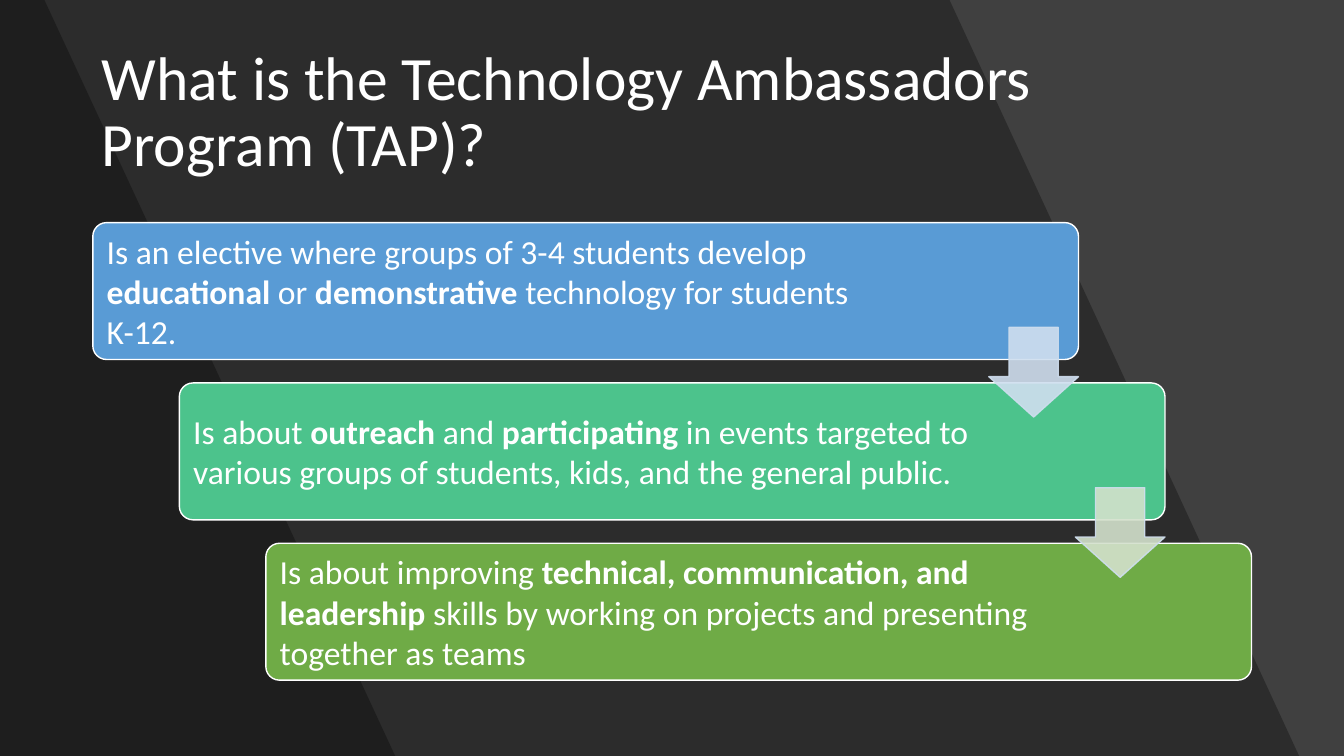
from dataclasses import dataclass

from pptx import Presentation
from pptx.dml.color import RGBColor
from pptx.enum.shapes import MSO_SHAPE
from pptx.enum.text import MSO_ANCHOR, MSO_AUTO_SIZE, PP_ALIGN
from pptx.oxml.ns import qn
from pptx.shapes.autoshape import Shape
from pptx.slide import Slide
from pptx.text.text import TextFrame
from pptx.util import Cm, Pt
from lxml import etree

ROUND_RECT = MSO_SHAPE.ROUNDED_RECTANGLE
DOWN_ARROW = MSO_SHAPE.DOWN_ARROW
MIDDLE = MSO_ANCHOR.MIDDLE
NO_FIT = MSO_AUTO_SIZE.NONE
LEFT = PP_ALIGN.LEFT

TITLE_ONLY = 5
SLIDE_W, SLIDE_H = 33.87, 19.05

# Staircase geometry in cm
STEP_X, STEP_Y, STEP_W, STEP_H = 2.34, 5.61, 24.84, 3.45
SHIFT_X, SHIFT_Y = 2.18, 4.04
TEXT_PAD = 0.1
ARROW_X, ARROW_Y, ARROW_SIZE = 24.92, 8.25, 2.26


@dataclass(frozen=True)
class Theme:
    font: str = "Calibri"
    title_size: float = 44
    body_size: float = 24
    line_width: float = 1
    background: str = "404040"
    band: str = "000000"
    text: str = "FFFFFF"
    arrow_line: str = "CFDEEF"
    band_alpha: int = 30
    arrow_alpha: int = 90


@dataclass(frozen=True)
class Band:
    top_right: float
    bottom_right: float


@dataclass(frozen=True)
class Step:
    color: str
    text_width: float
    runs: tuple[tuple[str, bool], ...]


THEME = Theme()
BANDS = (Band(23.93, 32.74), Band(1.12, 9.96))
STEPS = (
    Step("599BD5", 21.08, (
        ("Is an elective where groups of 3-4 students develop ", False),
        ("educational", True),
        (" or ", False),
        ("demonstrative", True),
        (" technology for students K-12.", False),
    )),
    Step("4CC38C", 20.19, (
        ("Is about ", False),
        ("outreach", True),
        (" and ", False),
        ("participating", True),
        (" in events targeted to various groups of students, kids, "
         "and the general public.", False),
    )),
    Step("6FAB46", 20.19, (
        ("Is about improving ", False),
        ("technical, communication, and leadership ", True),
        ("skills by working on projects and presenting together as teams", False),
    )),
)
ARROW_COLORS = ("CFDEEF", "D3E1CC")


def set_alpha(sp: Shape, percent: int) -> None:
    """Make the shape's fill and line colours partly transparent."""
    for color in sp.element.spPr.iter(qn("a:srgbClr")):
        etree.SubElement(color, qn("a:alpha")).set("val", str(percent * 1000))


def paint(sp: Shape, fill: str, line: str | None = None) -> None:
    sp.shadow.inherit = False
    sp.fill.solid()
    sp.fill.fore_color.rgb = RGBColor.from_string(fill)
    if line is None:
        sp.line.fill.background()
    else:
        sp.line.color.rgb = RGBColor.from_string(line)
        sp.line.width = Pt(THEME.line_width)


def write(tf: TextFrame, runs: tuple[tuple[str, bool], ...], size: float,
          margin_y: float) -> None:
    frame_format = {
        "word_wrap": True, "auto_size": NO_FIT, "vertical_anchor": MIDDLE,
        "margin_left": Cm(0.25), "margin_right": Cm(0.25),
        "margin_top": Cm(margin_y), "margin_bottom": Cm(margin_y),
    }
    for name, value in frame_format.items():
        setattr(tf, name, value)
    p = tf.paragraphs[0]
    p.alignment = LEFT
    for text, bold in runs:
        r = p.add_run()
        r.text = text
        for name, value in {"name": THEME.font, "size": Pt(size), "bold": bold}.items():
            setattr(r.font, name, value)
        r.font.color.rgb = RGBColor.from_string(THEME.text)


def draw_band(s: Slide, band: Band) -> None:
    outline = s.shapes.build_freeform(0, 0)
    outline.add_line_segments([
        (Cm(band.top_right), 0),
        (Cm(band.bottom_right), Cm(SLIDE_H)),
        (0, Cm(SLIDE_H)),
    ], close=True)
    sp = outline.convert_to_shape()
    paint(sp, THEME.band)
    set_alpha(sp, THEME.band_alpha)


def draw_title(s: Slide, text: str) -> None:
    title = s.shapes.title
    box = {"left": 2.31, "top": 1.02, "width": 29.24, "height": 3.68}
    for name, value in box.items():
        setattr(title, name, Cm(value))
    write(title.text_frame, ((text, False),), THEME.title_size, 0.13)
    title.text_frame.paragraphs[0].line_spacing = 0.9
    # Bring the title in front of the bands
    s.shapes.element.append(title.element)


def draw_step(s: Slide, index: int, step: Step) -> None:
    x, y = STEP_X + index * SHIFT_X, STEP_Y + index * SHIFT_Y
    sp = s.shapes.add_shape(ROUND_RECT, Cm(x), Cm(y), Cm(STEP_W), Cm(STEP_H))
    sp.adjustments[0] = 0.1
    paint(sp, step.color, THEME.text)
    label = s.shapes.add_textbox(Cm(x + TEXT_PAD), Cm(y + TEXT_PAD),
                                 Cm(step.text_width), Cm(STEP_H - 2 * TEXT_PAD))
    write(label.text_frame, step.runs, THEME.body_size, 0.25)


def draw_arrow(s: Slide, index: int, color: str) -> None:
    sp = s.shapes.add_shape(DOWN_ARROW, Cm(ARROW_X + index * SHIFT_X),
                            Cm(ARROW_Y + index * SHIFT_Y),
                            Cm(ARROW_SIZE), Cm(ARROW_SIZE))
    sp.adjustments[0], sp.adjustments[1] = 0.55, 0.45
    paint(sp, color, THEME.arrow_line)
    set_alpha(sp, THEME.arrow_alpha)


def main() -> None:
    prs = Presentation()
    prs.slide_width, prs.slide_height = Cm(SLIDE_W), Cm(SLIDE_H)
    s = prs.slides.add_slide(prs.slide_layouts[TITLE_ONLY])

    # Background and slanted bands
    s.background.fill.solid()
    s.background.fill.fore_color.rgb = RGBColor.from_string(THEME.background)
    for band in BANDS:
        draw_band(s, band)

    # Title
    draw_title(s, "What is the Technology Ambassadors Program (TAP)?")

    # Steps, then the arrows that link them
    for i, step in enumerate(STEPS):
        draw_step(s, i, step)
    for i, color in enumerate(ARROW_COLORS):
        draw_arrow(s, i, color)

    prs.save("out.pptx")


if __name__ == "__main__":
    main()
